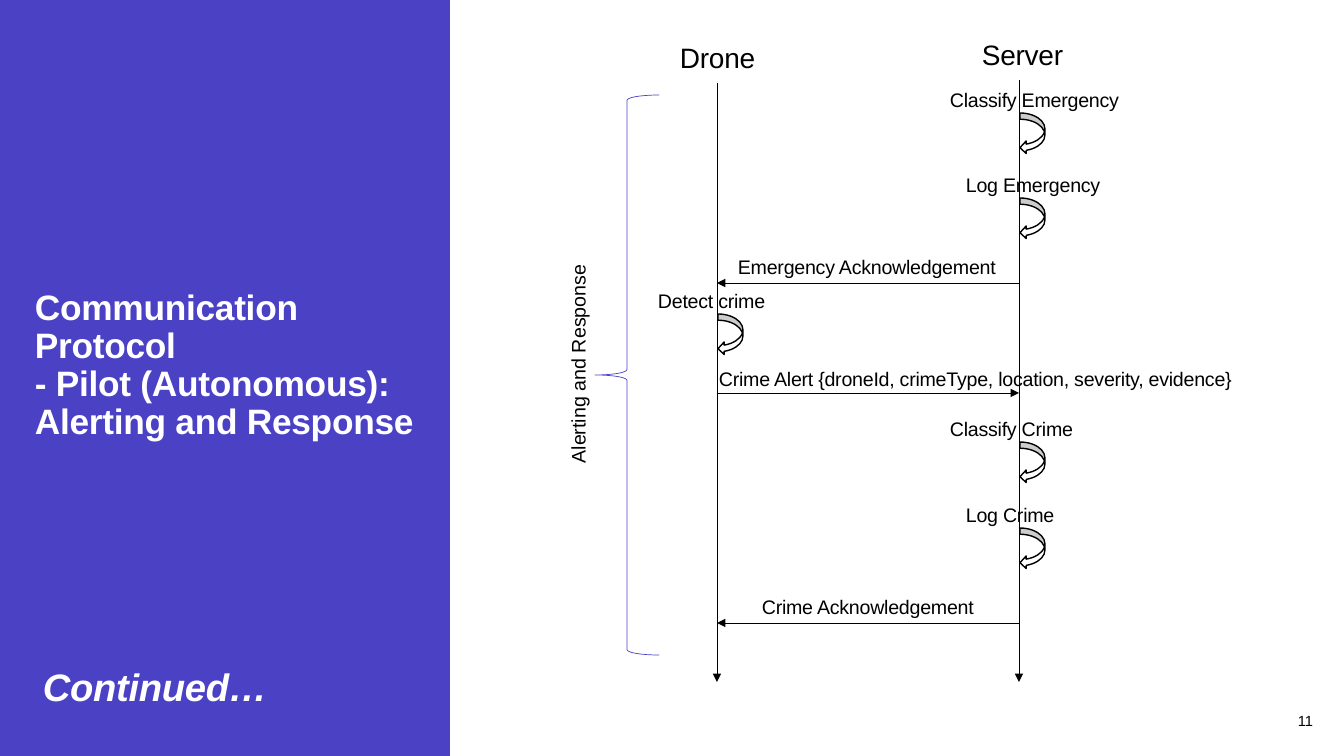
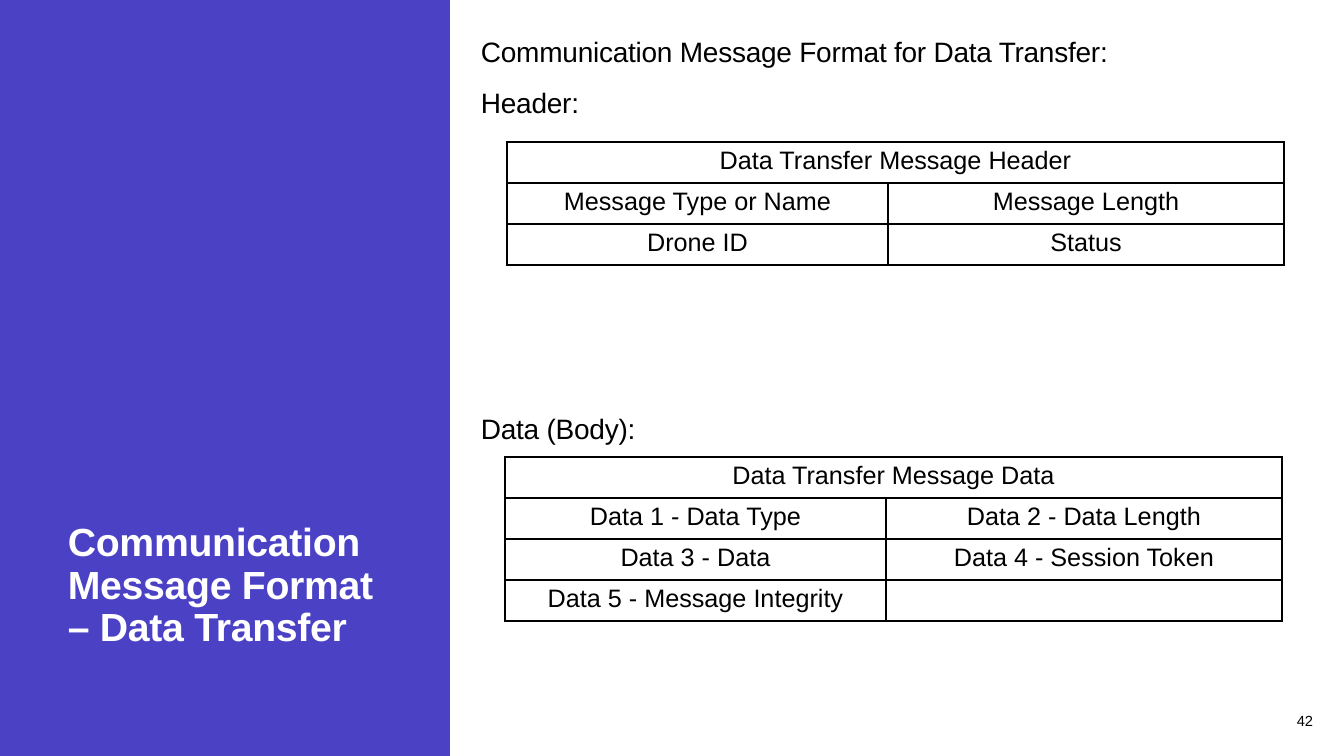
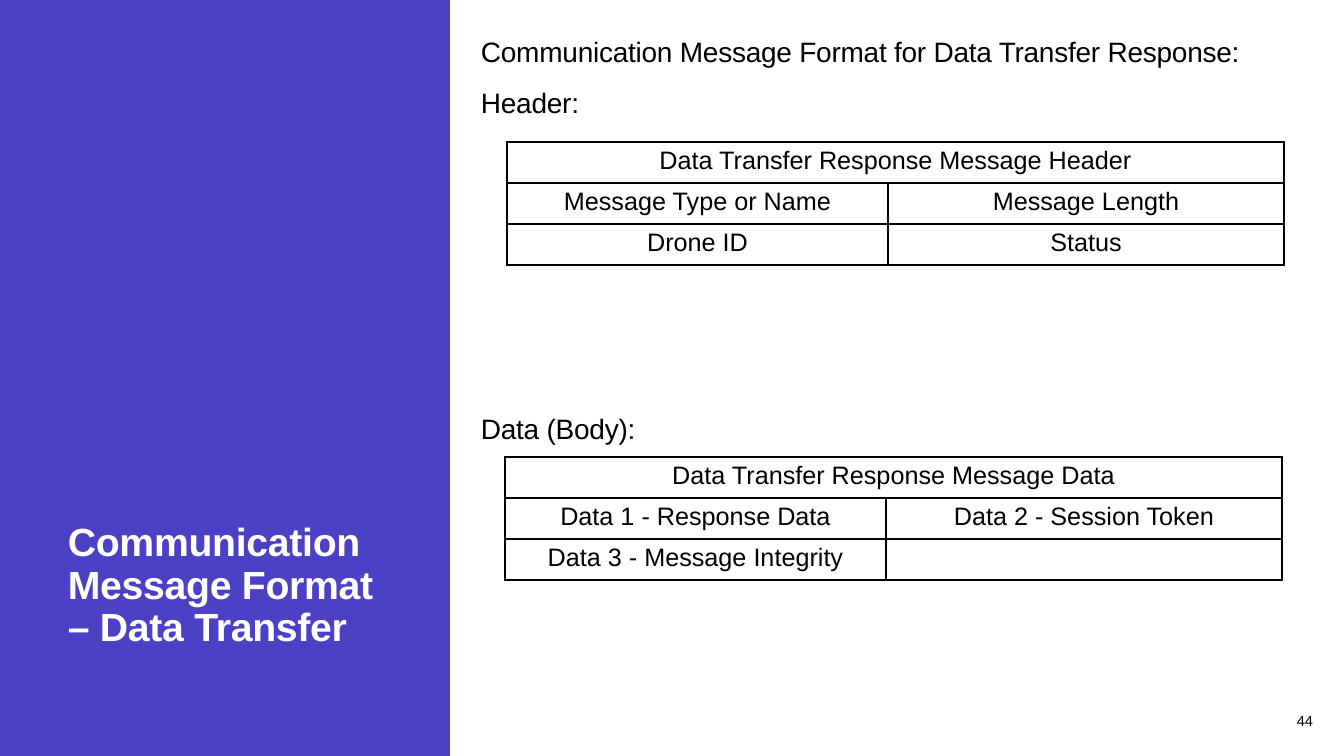
from dataclasses import dataclass

from lxml.etree import SubElement
from pptx import Presentation
from pptx.dml.color import RGBColor
from pptx.enum.shapes import MSO_CONNECTOR, MSO_SHAPE
from pptx.enum.text import MSO_ANCHOR, PP_ALIGN
from pptx.oxml.ns import qn
from pptx.shapes.autoshape import Shape
from pptx.slide import Slide
from pptx.text.text import _Paragraph as Paragraph
from pptx.util import Emu, Pt

# Shared look
PAGE_WIDTH, PAGE_HEIGHT = 1344, 756
PANEL_WIDTH = 450
FONT = "Arial"
INDIGO, WHITE, BLACK = "4A41C5", "FFFFFF", "000000"
THIN = 0.5
TIGHT = -20  # letter spacing, hundredths of a point

# Sequence diagram
DRONE_X, SERVER_X = 717, 1019
LIFELINE_END = 682
LABEL_HEIGHT = 34

# Message tables
COLUMN_WIDTHS = (381, 396)
ROW_HEIGHT = 41


@dataclass(frozen=True)
class Box:
    left: int
    top: int
    width: int
    height: int


@dataclass(frozen=True)
class TextStyle:
    size: float
    color: str = BLACK
    bold: bool = False
    italic: bool = False
    align: PP_ALIGN = PP_ALIGN.LEFT
    line_spacing: float = 1.0
    letter_spacing: int = 0


@dataclass(frozen=True)
class Lifeline:
    name: str
    x: int
    top: int


@dataclass(frozen=True)
class SelfAction:
    label: str
    lifeline_x: int
    arrow_top: int
    label_left: int
    label_width: int


@dataclass(frozen=True)
class Message:
    label: str
    start_x: int
    end_x: int
    y: int
    label_box: Box


@dataclass(frozen=True)
class FormatPage:
    number: str
    heading: str
    header_title: str
    data_title: str
    data_rows: list[tuple[str, str]]


NUMBER_STYLE = TextStyle(10.5, align=PP_ALIGN.RIGHT)
HEADING_STYLE = TextStyle(20, line_spacing=1.1, letter_spacing=TIGHT)
LABEL_STYLE = TextStyle(14, line_spacing=1.1, letter_spacing=TIGHT)
PHASE_STYLE = TextStyle(14, align=PP_ALIGN.CENTER)
CELL_STYLE = TextStyle(18, align=PP_ALIGN.CENTER)

LIFELINES = [Lifeline("Drone", DRONE_X, 83), Lifeline("Server", SERVER_X, 80)]
SELF_ACTIONS = [
    SelfAction("Classify Emergency", SERVER_X, 113, 940, 198),
    SelfAction("Log Emergency", SERVER_X, 198, 956, 171),
    SelfAction("Detect crime", DRONE_X, 314, 648, 171),
    SelfAction("Classify Crime", SERVER_X, 442, 940, 198),
    SelfAction("Log Crime", SERVER_X, 528, 956, 171),
]
MESSAGES = [
    Message("Emergency Acknowledgement", SERVER_X, DRONE_X, 283,
            Box(728, 248, 291, LABEL_HEIGHT)),
    Message("Crime Alert {droneId, crimeType, location, severity, evidence}",
            DRONE_X, SERVER_X, 393, Box(709, 360, 578, LABEL_HEIGHT)),
    Message("Crime Acknowledgement", SERVER_X, DRONE_X, 623,
            Box(752, 588, 249, LABEL_HEIGHT)),
]

HEADER_ROWS = [("Message Type or Name", "Message Length"), ("Drone ID", "Status")]
FORMAT_PAGES = [
    FormatPage(
        "42", "Communication Message Format for Data Transfer:",
        "Data Transfer Message Header", "Data Transfer Message Data",
        [("Data 1 - Data Type", "Data 2 - Data Length"),
         ("Data 3 - Data", "Data 4 - Session Token"),
         ("Data 5 - Message Integrity", "")]),
    FormatPage(
        "44", "Communication Message Format for Data Transfer Response:",
        "Data Transfer Response Message Header", "Data Transfer Response Message Data",
        [("Data 1 - Response Data", "Data 2 - Session Token"),
         ("Data 3 - Message Integrity", "")]),
]


def px(length: int) -> Emu:
    return Emu(round(length * 914400 / 100.8))


def rgb(color: str) -> RGBColor:
    return RGBColor.from_string(color)


def frame(box: Box) -> tuple[Emu, Emu, Emu, Emu]:
    return px(box.left), px(box.top), px(box.width), px(box.height)


def style_paragraph(para: Paragraph, style: TextStyle) -> None:
    para.alignment = style.align
    para.line_spacing = style.line_spacing
    font = para.font
    font.name, font.size = FONT, Pt(style.size)
    font.bold, font.italic = style.bold, style.italic
    font.color.rgb = rgb(style.color)
    if style.letter_spacing:
        para._p.pPr.get_or_add_defRPr().set("spc", str(style.letter_spacing))


def add_text(page: Slide, box: Box, lines: list[str], style: TextStyle,
             anchor: MSO_ANCHOR = MSO_ANCHOR.TOP) -> Shape:
    shape = page.shapes.add_textbox(*frame(box))
    text_frame = shape.text_frame
    text_frame.word_wrap = True
    text_frame.vertical_anchor = anchor
    for index, line in enumerate(lines):
        para = text_frame.add_paragraph() if index else text_frame.paragraphs[0]
        para.text = line
        style_paragraph(para, style)
    return shape


def add_preset(page: Slide, preset: MSO_SHAPE, box: Box, fill: str | None = None,
               line: str | None = None, line_width: float = THIN) -> None:
    shape = page.shapes.add_shape(preset, *frame(box))
    shape.shadow.inherit = False
    if fill:
        shape.fill.solid()
        shape.fill.fore_color.rgb = rgb(fill)
    else:
        shape.fill.background()
    if line:
        shape.line.color.rgb = rgb(line)
        shape.line.width = Pt(line_width)
    else:
        shape.line.fill.background()


def add_arrow(page: Slide, start: tuple[int, int], end: tuple[int, int]) -> None:
    arrow = page.shapes.add_connector(
        MSO_CONNECTOR.STRAIGHT, *(px(value) for value in start + end))
    arrow.line.color.rgb = rgb(BLACK)
    arrow.line.width = Pt(THIN)
    SubElement(arrow.line._get_or_add_ln(), qn("a:tailEnd"), type="triangle")
    SubElement(arrow._element.spPr, qn("a:effectLst"))


def add_page(deck: Presentation, title: str, title_box: Box, title_size: float,
             number: str) -> Slide:
    """Add a page with the side panel, its title and the page number."""
    page = deck.slides.add_slide(deck.slide_layouts[6])
    add_preset(page, MSO_SHAPE.RECTANGLE, Box(0, 0, PANEL_WIDTH, PAGE_HEIGHT), INDIGO)
    add_text(page, title_box, [title], panel_style(title_size), MSO_ANCHOR.BOTTOM)
    add_text(page, Box(1253, 701, 70, 40), [number], NUMBER_STYLE, MSO_ANCHOR.MIDDLE)
    return page


def panel_style(size: float, italic: bool = False) -> TextStyle:
    return TextStyle(size, WHITE, True, italic, line_spacing=0.9, letter_spacing=TIGHT)


def add_message_table(page: Slide, left: int, top: int, title: str,
                      rows: list[tuple[str, str]]) -> None:
    row_count = len(rows) + 1
    box = Box(left, top, sum(COLUMN_WIDTHS), ROW_HEIGHT * row_count)
    table = page.shapes.add_table(row_count, len(COLUMN_WIDTHS), *frame(box)).table
    table.first_row = table.horz_banding = False
    for column, width in zip(table.columns, COLUMN_WIDTHS):
        column.width = px(width)
    for row, texts in zip(table.rows, [(title, ""), *rows]):
        row.height = px(ROW_HEIGHT)
        for cell, text in zip(row.cells, texts):
            para = cell.text_frame.paragraphs[0]
            para.text = text
            style_paragraph(para, CELL_STYLE)
            properties = cell._tc.get_or_add_tcPr()
            for side in ("a:lnL", "a:lnR", "a:lnT", "a:lnB"):
                border = SubElement(properties, qn(side), w=str(Pt(1)))
                fill = SubElement(border, qn("a:solidFill"))
                SubElement(fill, qn("a:srgbClr"), val=BLACK)
            cell.fill.background()
    table.cell(0, 0).merge(table.cell(0, 1))


def build_sequence_page(deck: Presentation) -> None:
    page = add_page(
        deck,
        "Communication Protocol\v- Pilot (Autonomous): Alerting and Response",
        Box(25, 225, 399, 222), 25.2, "11")
    add_text(page, Box(33, 654, 249, 61), ["Continued…"], panel_style(27.3, True),
             MSO_ANCHOR.BOTTOM)

    # Lifelines
    for lifeline in LIFELINES:
        add_arrow(page, (lifeline.x, lifeline.top), (lifeline.x, LIFELINE_END))
        add_text(page, Box(lifeline.x - 47, lifeline.top - 51, 102, 45),
                 [lifeline.name], HEADING_STYLE)

    # Phase brace and its upright label
    add_preset(page, MSO_SHAPE.LEFT_BRACE, Box(595, 95, 64, 560), line=INDIGO)
    phase = add_text(page, Box(432, 347, 292, LABEL_HEIGHT),
                     ["Alerting and Response"], PHASE_STYLE)
    phase.rotation = 270

    # Actions on one lifeline
    for action in SELF_ACTIONS:
        add_preset(page, MSO_SHAPE.CURVED_LEFT_ARROW,
                   Box(action.lifeline_x + 1, action.arrow_top, 25, 41),
                   WHITE, BLACK, 1)
        add_text(page, Box(action.label_left, action.arrow_top - 32,
                           action.label_width, LABEL_HEIGHT),
                 [action.label], LABEL_STYLE)

    # Messages between lifelines
    for message in MESSAGES:
        add_arrow(page, (message.start_x, message.y), (message.end_x, message.y))
        add_text(page, message.label_box, [message.label], LABEL_STYLE)


def build_format_page(deck: Presentation, content: FormatPage) -> None:
    page = add_page(deck, "Communication Message Format – Data Transfer",
                    Box(58, 86, 354, 569), 28, content.number)
    body = add_text(page, Box(471, 26, 835, 689),
                    [content.heading, "Header:", "Data (Body):"], HEADING_STYLE)
    for para, gap in zip(body.text_frame.paragraphs[1:], (10, 207)):
        para.space_before = Pt(gap)
    add_message_table(page, 507, 142, content.header_title, HEADER_ROWS)
    add_message_table(page, 505, 457, content.data_title, content.data_rows)


def main() -> None:
    deck = Presentation()
    deck.slide_width, deck.slide_height = px(PAGE_WIDTH), px(PAGE_HEIGHT)
    build_sequence_page(deck)
    for content in FORMAT_PAGES:
        build_format_page(deck, content)
    deck.save("out.pptx")


if __name__ == "__main__":
    main()
